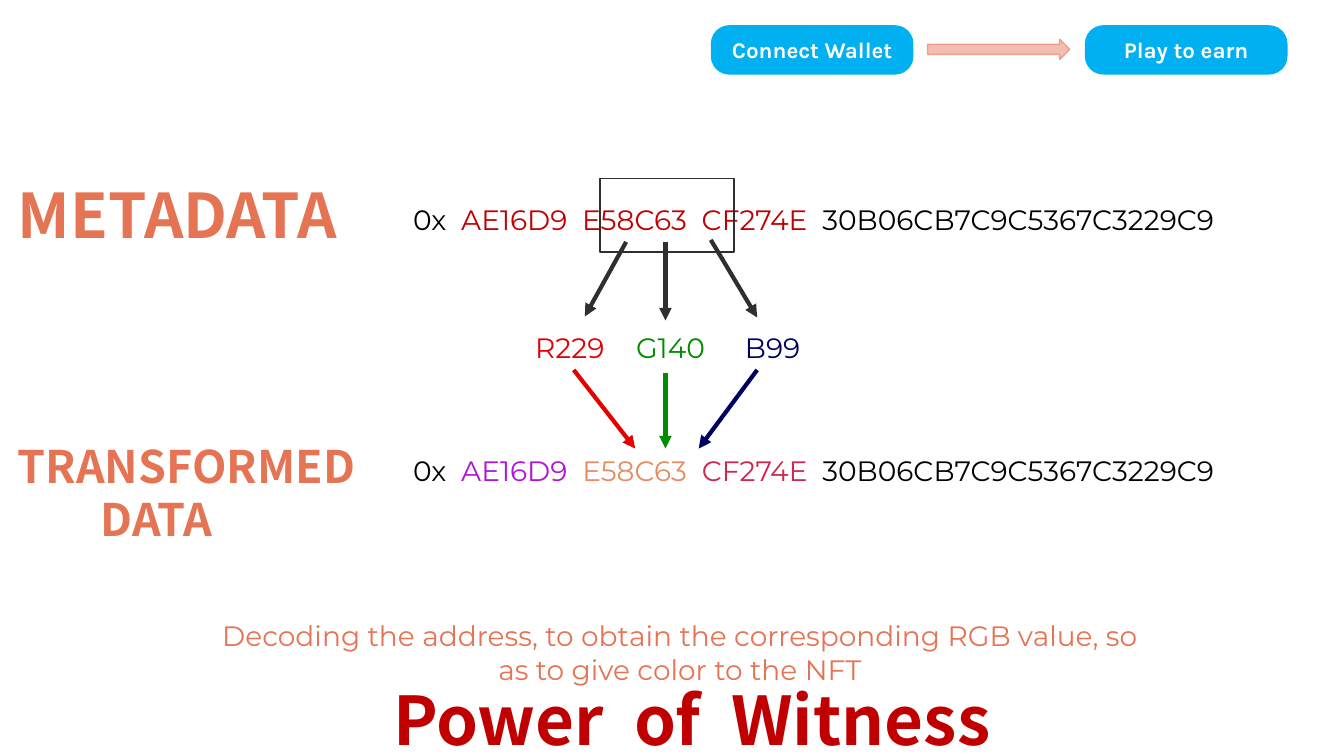
from lxml import etree
from pptx import Presentation
from pptx.dml.color import RGBColor
from pptx.enum.shapes import MSO_CONNECTOR, MSO_SHAPE
from pptx.enum.text import MSO_ANCHOR, PP_ALIGN
from pptx.oxml.ns import qn
from pptx.util import Inches, Pt


def rgb(color):
    return RGBColor.from_string(color)


def write(tf, paragraphs, size, font, bold=False, align=PP_ALIGN.LEFT, anchor=MSO_ANCHOR.TOP):
    tf.word_wrap = True
    tf.vertical_anchor = anchor
    for i, runs in enumerate(paragraphs):
        p = tf.add_paragraph() if i else tf.paragraphs[0]
        p.alignment = align
        for text, color in runs:
            r = p.add_run()
            r.text = text
            r.font.size = Pt(size)
            r.font.name = font
            r.font.bold = bold
            r.font.color.rgb = rgb(color)


HEADING, BODY, BUTTON = "Noto Sans CJK SC", "Montserrat", "Karla"
CORAL, CRIMSON, BLACK, DARK = "E57454", "C00000", "000000", "2F2F2F"
RED, GREEN, NAVY = "E50000", "008C00", "000063"

prs = Presentation()
prs.slide_width, prs.slide_height = Inches(13.33), Inches(7.5)
s = prs.slides.add_slide(prs.slide_layouts[5])

title = s.shapes.title
title.left, title.top, title.width, title.height = [Inches(v) for v in (3.8, 6.68, 6.15, 0.91)]
write(title.text_frame, [[("Power  of  Witness", CRIMSON)]], 48, HEADING, True)

headings = [
    ((0.08, 1.71, 3.57, 0.84), ["METADATA"], 44),
    ((0.08, 4.3, 5.66, 1.18), ["TRANSFORMED", "DATA"], 32),
]
for box, lines, size in headings:
    tf = s.shapes.add_textbox(*[Inches(v) for v in box]).text_frame
    write(tf, [[(line, CORAL)] for line in lines], size, HEADING, True)
tf.paragraphs[1]._p.get_or_add_pPr().set("marL", str(Inches(0.82)))

for left, label in [(7.05, "Connect Wallet"), (10.76, "Play to earn")]:
    button = s.shapes.add_shape(MSO_SHAPE.ROUNDED_RECTANGLE, Inches(left), Inches(0.25), Inches(2.01), Inches(0.49))
    button.adjustments[0] = 0.374
    button.shadow.inherit = False
    button.fill.solid()
    button.fill.fore_color.rgb = rgb("00B0F0")
    button.line.fill.background()
    write(button.text_frame, [[(label, "FFFFFF")]], 16, BUTTON, True, PP_ALIGN.CENTER, MSO_ANCHOR.MIDDLE)

arrow = s.shapes.add_shape(MSO_SHAPE.RIGHT_ARROW, Inches(9.2), Inches(0.39), Inches(1.41), Inches(0.2))
arrow.shadow.inherit = False
arrow.fill.solid()
arrow.fill.fore_color.rgb = rgb("F3BEAF")
arrow.line.color.rgb = rgb("EEA08B")
arrow.line.width = Pt(1)

addresses = [(1.96, [CRIMSON] * 3), (4.45, ["AE16D9", "E58C63", "CF274E"])]
for top, colors in addresses:
    parts = zip(["0x  ", "AE16D9  ", "E58C63  ", "CF274E  ", "30B06CB7C9C5367C3229C9"], [BLACK, *colors, BLACK])
    tf = s.shapes.add_textbox(Inches(4), Inches(top), Inches(9.33), Inches(0.44)).text_frame
    write(tf, [parts], 20, BODY)

caption = "Decoding the address, to obtain the corresponding RGB value, so as to give color to the NFT"
tf = s.shapes.add_textbox(Inches(2.08), Inches(6.09), Inches(9.33), Inches(0.77)).text_frame
write(tf, [[(caption, CORAL)]], 20, BODY, align=PP_ALIGN.CENTER)

frame = s.shapes.add_shape(MSO_SHAPE.RECTANGLE, Inches(5.95), Inches(1.77), Inches(1.33), Inches(0.73))
frame.shadow.inherit = False
frame.fill.background()
frame.line.color.rgb = rgb(DARK)
frame.line.width = Pt(1)

channels = [(5.21, 0.97, "R229", RED), (6.21, 1.08, "G140", GREEN), (7.29, 0.97, "B99", NAVY)]
for left, width, label, color in channels:
    tf = s.shapes.add_textbox(Inches(left), Inches(3.23), Inches(width), Inches(0.44)).text_frame
    write(tf, [[(label, color)]], 20, BODY)

arrows = [
    (6.21, 2.4, 5.8, 3.14, DARK),
    (6.6, 2.4, 6.6, 3.18, DARK),
    (7.05, 2.38, 7.51, 3.15, DARK),
    (5.69, 3.67, 6.3, 4.45, RED),
    (6.6, 3.7, 6.6, 4.45, GREEN),
    (7.51, 3.67, 6.93, 4.45, NAVY),
]
for *ends, color in arrows:
    line = s.shapes.add_connector(MSO_CONNECTOR.STRAIGHT, *[Inches(v) for v in ends])
    line.line.color.rgb = rgb(color)
    line.line.width = Pt(3)
    etree.SubElement(line.line._get_or_add_ln(), qn("a:tailEnd"), type="triangle")
    etree.SubElement(line._element.spPr, qn("a:effectLst"))

prs.save("out.pptx")
